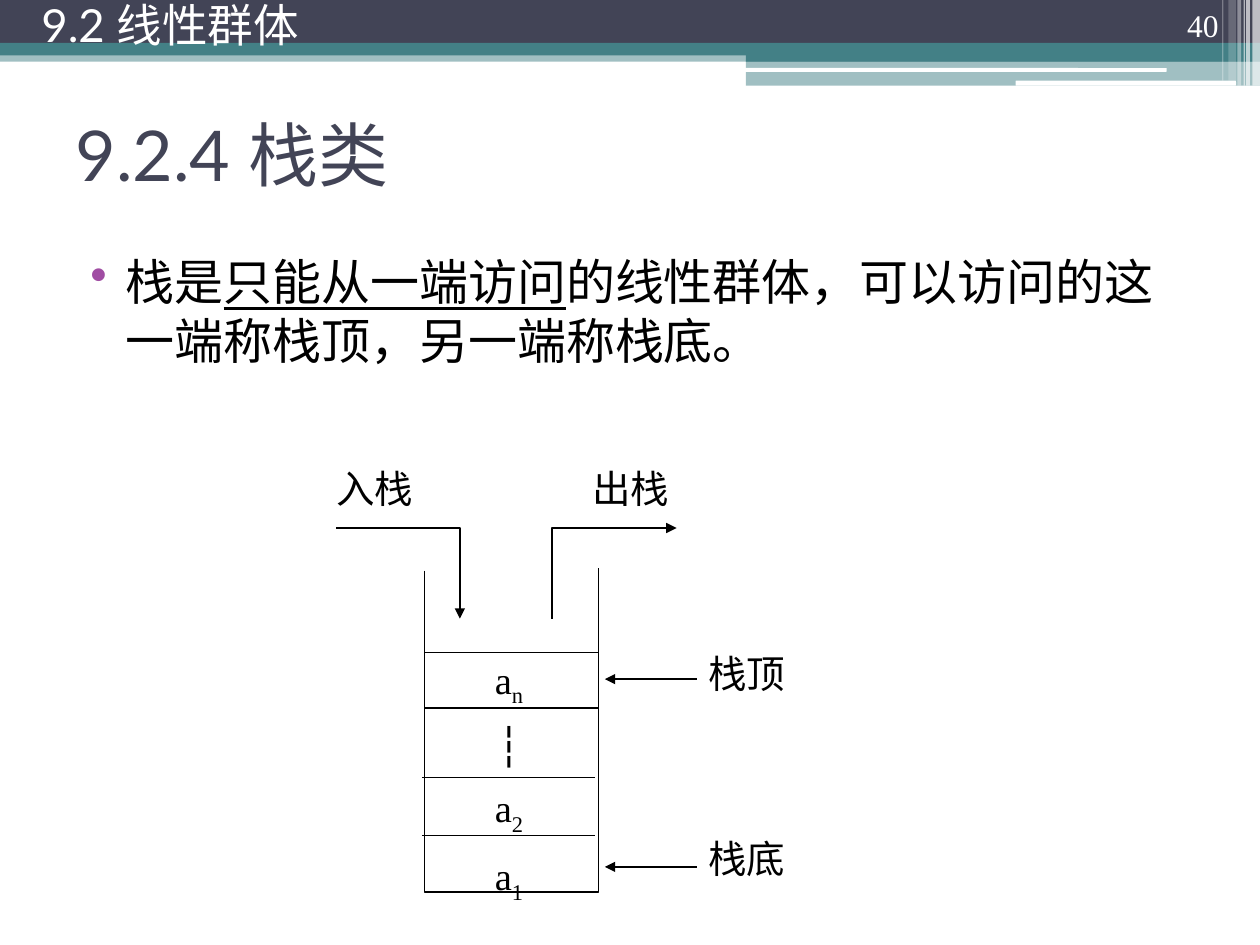
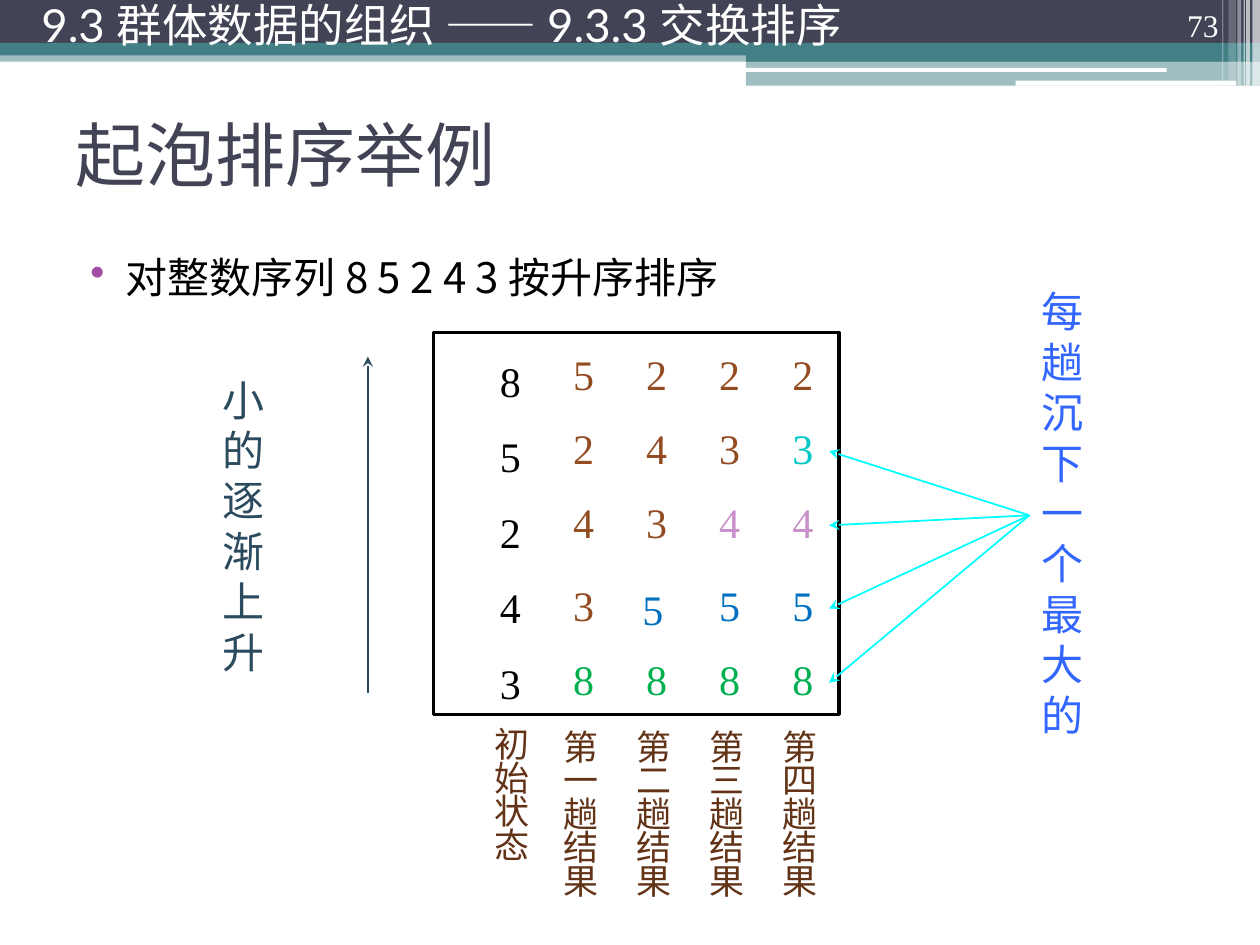
from lxml import etree
from pptx import Presentation
from pptx.dml.color import RGBColor
from pptx.enum.shapes import MSO_CONNECTOR, MSO_SHAPE
from pptx.enum.text import MSO_ANCHOR, PP_ALIGN
from pptx.oxml.ns import qn
from pptx.util import Inches, Pt

RECT, ROUNDED = MSO_SHAPE.RECTANGLE, MSO_SHAPE.ROUNDED_RECTANGLE
STRAIGHT = MSO_CONNECTOR.STRAIGHT
TOP, MIDDLE, BOTTOM = MSO_ANCHOR.TOP, MSO_ANCHOR.MIDDLE, MSO_ANCHOR.BOTTOM
LEFT, CENTER, RIGHT = PP_ALIGN.LEFT, PP_ALIGN.CENTER, PP_ALIGN.RIGHT
LATO, SANS, SERIF = "Lato", "Noto Sans CJK SC", "Times New Roman"
LEFT_SIDE = 1
TITLE_ONLY = 5

COLORS = {
    "navy": "424456", "teal": "438086", "white": "FFFFFF", "black": "000000",
    "bullet": "A04DA3", "unsorted": "934C22", "caption": "623316",
    "rise": "2B4A5E", "sink": "3366FF", "cyan": "00FFFF",
}
SORTED_COLORS = {"8": "00B050", "5": "0070C0", "4": "C991CB", "3": "00C8C8"}

BANDS = [
    (RECT, (0, 0.4, 10, 0.09), "teal", 50),
    (RECT, (0, 0, 10, 0.34), "navy", 100),
    (RECT, (0, 0.34, 10, 0.1), "teal", 100),
    (RECT, (5.92, 0.39, 4.08, 0.1), "teal", 100),
    (RECT, (5.92, 0.48, 4.08, 0.2), "teal", 50),
    (ROUNDED, (5.91, 0.54, 3.35, 0.03), "white", 100),
    (ROUNDED, (8.06, 0.64, 1.75, 0.04), "white", 100),
    (RECT, (9.94, 0, 0.06, 0.68), "white", 65),
    (RECT, (9.89, 0, 0.03, 0.68), "white", 65),
    (RECT, (9.87, 0, 0.01, 0.68), "white", 60),
    (RECT, (9.82, 0, 0.03, 0.68), "white", 40),
    (RECT, (9.75, 0, 0.06, 0.64), "white", 20),
    (RECT, (9.7, 0, 0.01, 0.64), "white", 30),
]


def rgb(color):
    return RGBColor.from_string(COLORS.get(color, color))


def inches(values):
    return [Inches(value) for value in values]


def style(para, size, font, color, align=LEFT, spacing=None):
    para.alignment = align
    if spacing:
        para.line_spacing = spacing
    para.font.size = Pt(size)
    para.font.name = font
    para.font.color.rgb = rgb(color)
    defaults = para._p.pPr.find(qn("a:defRPr"))
    etree.SubElement(defaults, qn("a:ea")).set("typeface", SANS)


def add_text(page, at, lines, size, color, font=SERIF, align=LEFT,
             spacing=None, anchor=TOP, inset=True, wrap=True):
    box = page.shapes.add_textbox(*inches(at))
    frame = box.text_frame
    frame.word_wrap = wrap
    frame.vertical_anchor = anchor
    if not inset:
        frame.margin_left = frame.margin_right = 0
        frame.margin_top = frame.margin_bottom = 0
    for index, spans in enumerate(lines):
        para = frame.add_paragraph() if index else frame.paragraphs[0]
        for text in spans:
            para.add_run().text = text
        style(para, size, font, color, align, spacing)
    return box


def add_band(page, kind, at, color, opacity):
    band = page.shapes.add_shape(kind, *inches(at))
    band.shadow.inherit = False
    band.fill.solid()
    band.fill.fore_color.rgb = rgb(color)
    band.line.fill.background()
    if opacity < 100:
        tint = band.element.spPr.find(".//" + qn("a:srgbClr"))
        etree.SubElement(tint, qn("a:alpha")).set("val", str(opacity * 1000))


def set_line(shape, color, width, arrow=None):
    shape.line.color.rgb = rgb(color)
    shape.line.width = Pt(width)
    if arrow:
        outline = shape.line._get_or_add_ln()
        etree.SubElement(outline, qn("a:tailEnd")).set("type", arrow)


def add_line(page, start, end, color="black", width=0.75, arrow=None):
    line = page.shapes.add_connector(STRAIGHT, *inches(start + end))
    set_line(line, color, width, arrow)
    etree.SubElement(line.element.spPr, qn("a:effectLst"))
    return line


def add_bent_line(page, points, arrow=None):
    corners = [inches(point) for point in points]
    builder = page.shapes.build_freeform(*corners[0])
    builder.add_line_segments(corners[1:], close=False)
    path = builder.convert_to_shape()
    path.shadow.inherit = False
    path.fill.background()
    set_line(path, "black", 0.75, arrow)


def add_bullet(page, spans, size):
    box = add_text(page, (0.5, 1.95, 9, 5.24), [spans], size, "black", SANS)
    para = box.text_frame.paragraphs[0]
    para.space_before, para.space_after = Pt(3), Pt(12)
    props = para._p.pPr
    props.set("marL", str(Inches(0.4)))
    props.set("indent", str(Inches(-0.28)))
    defaults = props.find(qn("a:defRPr"))
    tint = etree.Element(qn("a:buClr"))
    etree.SubElement(tint, qn("a:srgbClr")).set("val", COLORS["bullet"])
    mark = etree.Element(qn("a:buChar"))
    mark.set("char", "•")
    defaults.addprevious(tint)
    defaults.addprevious(mark)
    return para


def add_page(deck, section, number, title, title_font):
    page = deck.slides.add_slide(deck.slide_layouts[TITLE_ONLY])
    for band in BANDS:
        add_band(page, *band)
    heading = page.shapes.title
    heading.left, heading.top, heading.width, heading.height = inches((0.5, 0.63, 9, 1.17))
    heading.text_frame.text = title
    heading.text_frame.vertical_anchor = MIDDLE
    style(heading.text_frame.paragraphs[0], 40, title_font, "navy")
    add_text(page, (8.94, 0, 0.83, 0.4), [[number]], 18, "white",
             align=RIGHT, anchor=BOTTOM)
    add_text(page, (0.23, 0, 8.78, 0.47), [[section]], 26, "white", LATO,
             spacing=0.8, anchor=MIDDLE)
    return page


def add_stack_page(deck):
    page = add_page(deck, "9.2 线性群体", "40", "9.2.4 栈类", LATO)
    para = add_bullet(page, ["栈是", "只能从一端访问",
                             "的线性群体，可以访问的这一端称栈顶，另一端称栈底。"], 28)
    para.runs[1].font.underline = True

    add_bent_line(page, [(3.37, 4.53), (3.37, 7.08), (4.75, 7.08), (4.75, 4.51)])
    cells = add_text(page, (3.42, 5.08, 1.24, 1.99),
                     [["a", "n"], ["┆"], ["a", "2"], ["a", "1"]], 22, "black",
                     align=CENTER, spacing=1.3, inset=False)
    for para in cells.text_frame.paragraphs:
        for subscript in para.runs[1:]:
            subscript._r.get_or_add_rPr().set("baseline", "-25000")
    for left, right, y in [(3.37, 4.75, 5.18), (3.37, 4.75, 5.62),
                           (3.35, 4.72, 6.17), (3.35, 4.72, 6.63)]:
        add_line(page, (left, y), (right, y))

    add_bent_line(page, [(2.67, 4.19), (3.65, 4.19), (3.65, 4.91)], "triangle")
    add_bent_line(page, [(4.38, 4.91), (4.38, 4.19), (5.37, 4.19)], "triangle")
    for y in (5.39, 6.88):
        add_line(page, (5.53, y), (4.8, y), arrow="triangle")
    for text, at in [("入栈", (2.67, 3.69, 0.94, 0.43)),
                     ("出栈", (4.7, 3.69, 0.94, 0.43)),
                     ("栈顶", (5.62, 5.16, 1.63, 0.46)),
                     ("栈底", (5.62, 6.63, 1.63, 0.46))]:
        add_text(page, at, [[text]], 22, "black", inset=False)


def add_passes(page):
    passes = ["52438", "24358", "23458", "23458"]
    row_tops = [2.72, 3.3, 3.89, 4.55, 5.14]
    nudges = {(1, 3): (-0.03, 0.03)}
    add_text(page, (3.87, 2.57, 0.37, 3.1), ["8", "5", "2", "4", "3"], 24,
             "black", spacing=1.5, wrap=False)
    for column, digits in enumerate(passes):
        first_sorted = len(digits) - 1 - column
        for row, (digit, top) in enumerate(zip(digits, row_tops)):
            color = SORTED_COLORS[digit] if row >= first_sorted else "unsorted"
            shift_x, shift_y = nudges.get((column, row), (0, 0))
            at = (4.45 + 0.58 * column + shift_x, top + shift_y, 0.37, 0.51)
            add_text(page, at, [[digit]], 24, color, wrap=False)


def add_sort_page(deck):
    page = add_page(deck, "9.3 群体数据的组织 —— 9.3.3 交换排序", "73",
                    "起泡排序举例", SANS)
    add_bullet(page, ["对整数序列 8 5 2 4 3 按升序排序"], 24)
    add_passes(page)
    frame = page.shapes.add_shape(RECT, *inches((3.44, 2.64, 3.22, 3.03)))
    frame.shadow.inherit = False
    frame.fill.background()
    set_line(frame, "black", 2)

    captions = [("初始状态", 3.83, 5.75)]
    captions += [(f"第{ordinal}趟结果", 4.37 + 0.58 * index, 5.77)
                 for index, ordinal in enumerate("一二三四")]
    for text, left, top in captions:
        add_text(page, (left, top, 0.42, 1.44), [[text]], 20, "caption", spacing=0.8)

    add_text(page, (1.67, 2.92, 0.67, 2.52), [["小的逐渐上升"]], 24, "rise")
    add_line(page, (2.92, 5.5), (2.92, 2.83), "rise", 1, "stealth")
    sinking = add_text(page, (8.17, 2.22, 0.58, 3.74),
                       [["每趟沉下一个最大的"]], 24, "sink")
    for y in (5.42, 4.83, 4.17, 3.58):
        arrow = add_line(page, (8.17, 4.09), (6.58, y), "cyan", 1, "stealth")
        arrow.begin_connect(sinking, LEFT_SIDE)


def main():
    deck = Presentation()
    deck.slide_width, deck.slide_height = Inches(10), Inches(7.5)
    add_stack_page(deck)
    add_sort_page(deck)
    deck.save("out.pptx")


if __name__ == "__main__":
    main()
